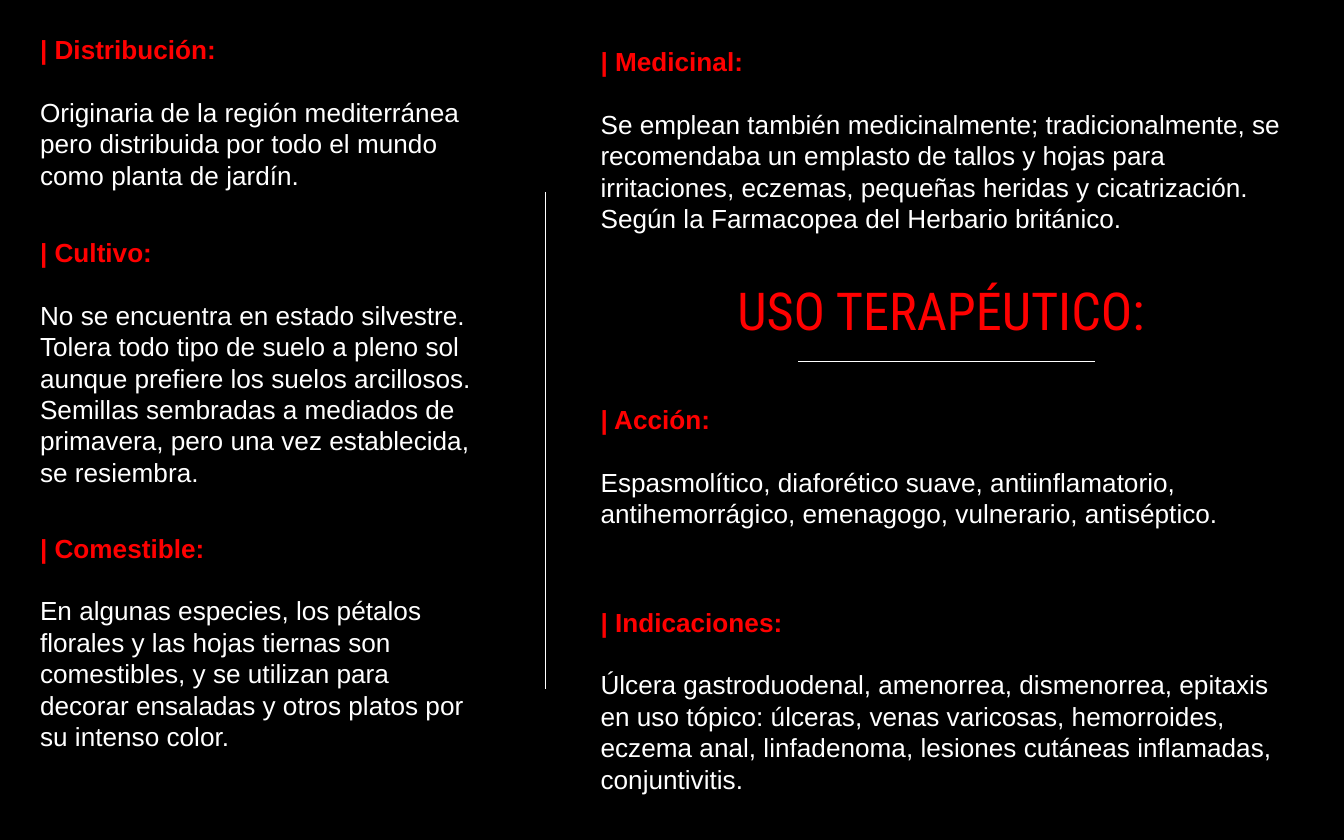
from dataclasses import dataclass

from lxml.etree import SubElement
from pptx import Presentation
from pptx.dml.color import RGBColor
from pptx.enum.shapes import MSO_CONNECTOR
from pptx.enum.text import PP_ALIGN
from pptx.oxml.ns import qn
from pptx.slide import Slide
from pptx.text.text import _Paragraph as Paragraph
from pptx.util import Inches, Pt


@dataclass(frozen=True)
class Theme:
    background: RGBColor = RGBColor(0x00, 0x00, 0x00)
    accent: RGBColor = RGBColor(0xFF, 0x00, 0x00)
    body: RGBColor = RGBColor(0xFF, 0xFF, 0xFF)
    body_font: str = "Arial"
    title_font: str = "Roboto Condensed"
    body_size: float = 14
    title_size: float = 28
    line_gap: float = 16.8
    rule_width: float = 0.75


@dataclass(frozen=True)
class Section:
    left: float
    top: float
    width: float
    height: float
    heading: str
    body: str
    title: str = ""


@dataclass(frozen=True)
class Rule:
    start: tuple[float, float]
    end: tuple[float, float]


THEME = Theme()
LEFT_COLUMN = {"left": 0.2, "width": 3.46}
RIGHT_COLUMN = {"left": 4.37, "width": 5.35}

SECTIONS = [
    Section(
        **LEFT_COLUMN, top=0.2, height=1.28, heading="| Distribución:",
        body="Originaria de la región mediterránea pero distribuida por todo "
             "el mundo como planta de jardín.",
    ),
    Section(
        **LEFT_COLUMN, top=1.71, height=1.99, heading="| Cultivo:",
        body="No se encuentra en estado silvestre. Tolera todo tipo de suelo a "
             "pleno sol aunque prefiere los suelos arcillosos. Semillas "
             "sembradas a mediados de primavera, pero una vez establecida, "
             "se resiembra.",
    ),
    Section(
        **LEFT_COLUMN, top=3.91, height=1.75, heading="| Comestible:",
        body="En algunas especies, los pétalos florales y las hojas tiernas "
             "son comestibles, y se utilizan para decorar ensaladas y otros "
             "platos por su intenso color.",
    ),
    Section(
        **RIGHT_COLUMN, top=0.29, height=1.51, heading="| Medicinal:",
        body="Se emplean también medicinalmente; tradicionalmente, se "
             "recomendaba un emplasto de tallos y hojas para irritaciones, "
             "eczemas, pequeñas heridas y cicatrización. Según la Farmacopea "
             "del Herbario británico.",
    ),
    Section(
        **RIGHT_COLUMN, top=2.02, height=1.99, heading="| Acción:",
        body="Espasmolítico, diaforético suave, antiinflamatorio, "
             "antihemorrágico, emenagogo, vulnerario, antiséptico.",
        title="USO TERAPÉUTICO: ",
    ),
    Section(
        **RIGHT_COLUMN, top=4.46, height=1.51, heading="| Indicaciones:",
        body="Úlcera gastroduodenal, amenorrea, dismenorrea, epitaxis en uso "
             "tópico: úlceras, venas varicosas, hemorroides, eczema anal, "
             "linfadenoma, lesiones cutáneas inflamadas, conjuntivitis.",
    ),
]

RULES = [
    Rule((4.06, 1.43), (4.06, 5.13)),
    Rule((5.94, 2.69), (8.15, 2.69)),
]


def write_paragraph(
    paragraph: Paragraph, text: str, color: RGBColor, bold: bool = False,
    font_name: str = THEME.body_font, size: float = THEME.body_size,
) -> None:
    paragraph.text = text
    font = paragraph.runs[0].font
    font.name = font_name
    font.size = Pt(size)
    font.bold = bold
    font.color.rgb = color


def add_section(slide: Slide, section: Section) -> None:
    """Add a heading and its body, below a centred title if there is one."""
    box = slide.shapes.add_textbox(
        Inches(section.left), Inches(section.top),
        Inches(section.width), Inches(section.height),
    )
    text_frame = box.text_frame
    text_frame.word_wrap = True
    heading = text_frame.paragraphs[0]
    if section.title:
        write_paragraph(heading, section.title, THEME.accent,
                        font_name=THEME.title_font, size=THEME.title_size)
        heading.alignment = PP_ALIGN.CENTER
        heading = text_frame.add_paragraph()
        heading.space_before = Pt(2 * THEME.line_gap)
    write_paragraph(heading, section.heading, THEME.accent, bold=True)
    body = text_frame.add_paragraph()
    body.space_before = Pt(THEME.line_gap)
    write_paragraph(body, section.body, THEME.body)


def add_rule(slide: Slide, rule: Rule) -> None:
    connector = slide.shapes.add_connector(
        MSO_CONNECTOR.STRAIGHT,
        *(Inches(length) for length in rule.start + rule.end),
    )
    connector.line.color.rgb = THEME.body
    connector.line.width = Pt(THEME.rule_width)
    SubElement(connector.element.spPr, qn("a:effectLst"))


def main() -> None:
    presentation = Presentation()
    presentation.slide_width = Inches(10)
    presentation.slide_height = Inches(6.25)
    slide = presentation.slides.add_slide(presentation.slide_layouts[6])
    slide.background.fill.solid()
    slide.background.fill.fore_color.rgb = THEME.background
    for section in SECTIONS:
        add_section(slide, section)
    for rule in RULES:
        add_rule(slide, rule)
    presentation.save("out.pptx")


if __name__ == "__main__":
    main()
